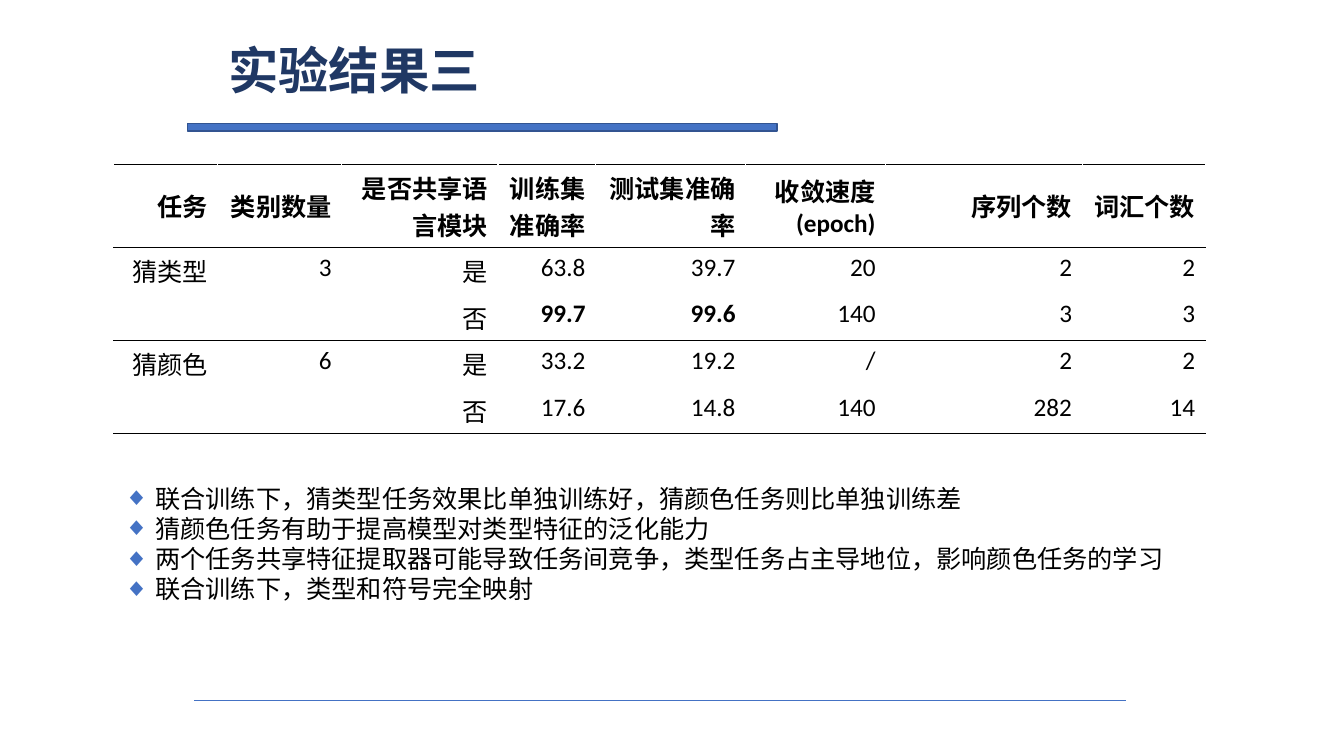
"""Build the slide with the third set of experiment results."""
from dataclasses import dataclass
from typing import Any

from lxml.etree import SubElement
from pptx import Presentation
from pptx.dml.color import RGBColor
from pptx.enum.shapes import MSO_CONNECTOR, MSO_SHAPE
from pptx.enum.text import MSO_ANCHOR, MSO_AUTO_SIZE, PP_ALIGN
from pptx.oxml.ns import qn
from pptx.util import Cm, Pt

BLUE = RGBColor(0x44, 0x72, 0xC4)
EDGE_BLUE = RGBColor(0x32, 0x54, 0x91)
NAVY = RGBColor(0x20, 0x38, 0x64)
BLACK = RGBColor(0, 0, 0)
WHITE = RGBColor(255, 255, 255)

BODY_FONT = {"name": "Calibri", "size": Pt(18), "bold": False}
TITLE_FONT = {"name": "Calibri", "size": Pt(36), "bold": True}


@dataclass(frozen=True)
class Box:
    left: float
    top: float
    width: float
    height: float

    def lengths(self) -> tuple:
        return Cm(self.left), Cm(self.top), Cm(self.width), Cm(self.height)


@dataclass(frozen=True)
class Column:
    heading: str
    width: float
    values: tuple[str, str, str, str]


TITLE_BOX = Box(5.21, 0.84, 19.86, 1.8)
RULE_BOX = Box(4.72, 3.12, 14.86, 0.18)
RESULTS_BOX = Box(2.87, 4.14, 27.5, 5.9)
FINDINGS_BOX = Box(2.87, 12.04, 27.15, 3.33)
ROW_HEIGHT = 1.04

COLUMNS = (
    Column("任务", 2.62, ("猜类型", "", "猜颜色", "")),
    Column("类别数量", 3.12, ("3", "", "6", "")),
    Column("是否共享语言模块", 3.94, ("是", "否", "是", "否")),
    Column("训练集准确率", 2.46, ("63.8", "99.7", "33.2", "17.6")),
    Column("测试集准确率", 3.78, ("39.7", "99.6", "19.2", "14.8")),
    Column("收敛速度 (epoch)", 3.53, ("20", "140", "/", "140")),
    Column("序列个数", 4.95, ("2", "3", "2", "282")),
    Column("词汇个数", 3.1, ("2", "3", "2", "14")),
)
BEST_SCORES = {"99.7", "99.6"}
TOP_RULED_ROWS = {0, 1, 3}
BOTTOM_RULED_ROWS = {0, 2, 4}

FINDINGS = (
    "联合训练下，猜类型任务效果比单独训练好，猜颜色任务则比单独训练差",
    "猜颜色任务有助于提高模型对类型特征的泛化能力",
    "两个任务共享特征提取器可能导致任务间竞争，类型任务占主导地位，影响颜色任务的学习",
    "联合训练下，类型和符号完全映射",
)


def apply_format(target: Any, values: dict[str, Any]) -> None:
    for attribute, value in values.items():
        setattr(target, attribute, value)


def style_font(font: Any, values: dict[str, Any], color: RGBColor) -> None:
    apply_format(font, values)
    font.color.rgb = color


def place(placeholder: Any, box: Box) -> None:
    left, top, width, height = box.lengths()
    apply_format(placeholder, {"left": left, "top": top, "width": width, "height": height})


def add_solid_fill(parent: Any, color: RGBColor) -> None:
    SubElement(SubElement(parent, qn("a:solidFill")), qn("a:srgbClr"), val=str(color))


def add_border(cell: Any, side: str, color: RGBColor) -> None:
    border = SubElement(cell._tc.get_or_add_tcPr(), qn(f"a:{side}"), w=str(Pt(1)))
    add_solid_fill(border, color)


def draw_title(slide: Any) -> None:
    title = slide.shapes.title
    place(title, TITLE_BOX)
    title.text = "实验结果三"
    apply_format(title.text_frame, {
        "margin_left": Cm(0.54), "vertical_anchor": MSO_ANCHOR.MIDDLE,
        "word_wrap": True, "auto_size": MSO_AUTO_SIZE.NONE,
    })
    heading = title.text_frame.paragraphs[0]
    heading.alignment = PP_ALIGN.LEFT
    style_font(heading.runs[0].font, TITLE_FONT, NAVY)


def draw_rules(slide: Any) -> None:
    title_rule = slide.shapes.add_shape(MSO_SHAPE.RECTANGLE, *RULE_BOX.lengths())
    title_rule.shadow.inherit = False
    title_rule.fill.solid()
    title_rule.fill.fore_color.rgb = BLUE
    title_rule.line.color.rgb = EDGE_BLUE
    title_rule.line.width = Pt(1)

    footer_rule = slide.shapes.add_connector(
        MSO_CONNECTOR.STRAIGHT, Cm(4.9), Cm(17.65), Cm(28.37), Cm(17.65))
    footer_rule.line.color.rgb = BLUE
    footer_rule.line.width = Pt(0.5)
    SubElement(footer_rule._element.spPr, qn("a:effectLst"))


def fill_cell(cell: Any, text: str, row: int) -> None:
    add_border(cell, "lnL", WHITE)
    add_border(cell, "lnR", WHITE)
    if row in TOP_RULED_ROWS:
        add_border(cell, "lnT", BLACK)
    if row in BOTTOM_RULED_ROWS:
        add_border(cell, "lnB", BLACK)
    cell.fill.solid()
    cell.fill.fore_color.rgb = WHITE
    cell.vertical_anchor = MSO_ANCHOR.MIDDLE if row == 0 else MSO_ANCHOR.TOP
    cell.text = text
    entry = cell.text_frame.paragraphs[0]
    entry.alignment = PP_ALIGN.RIGHT
    bold = row == 0 or text in BEST_SCORES
    for run in entry.runs:
        style_font(run.font, BODY_FONT | {"bold": bold}, BLACK)


def draw_results(slide: Any) -> None:
    frame = slide.shapes.add_table(5, len(COLUMNS), *RESULTS_BOX.lengths())
    results = frame.table
    apply_format(results, {"first_row": False, "horz_banding": False})
    for row in results.rows:
        row.height = Cm(ROW_HEIGHT)
    for index, column in enumerate(COLUMNS):
        results.columns[index].width = Cm(column.width)
        for row, text in enumerate((column.heading, *column.values)):
            fill_cell(results.cell(row, index), text, row)
    frame.height = Cm(RESULTS_BOX.height)


def draw_findings(slide: Any) -> None:
    findings = slide.placeholders[1]
    place(findings, FINDINGS_BOX)
    findings.text = "\n".join(FINDINGS)
    apply_format(findings.text_frame, {"word_wrap": True, "auto_size": MSO_AUTO_SIZE.NONE})
    for finding in findings.text_frame.paragraphs:
        properties = finding._p.get_or_add_pPr()
        apply_format(finding, {
            "alignment": PP_ALIGN.LEFT, "space_before": Pt(0), "line_spacing": Pt(21.6),
        })
        properties.set("marL", str(Cm(0.79)))
        properties.set("indent", str(Cm(-0.79)))
        bullet_color = SubElement(properties, qn("a:buClr"))
        SubElement(bullet_color, qn("a:srgbClr"), val=str(BLUE))
        SubElement(properties, qn("a:buChar"), char="◆")
        style_font(finding.runs[0].font, BODY_FONT, BLACK)


def main() -> None:
    presentation = Presentation()
    apply_format(presentation, {"slide_width": Cm(33.87), "slide_height": Cm(19.05)})
    slide = presentation.slides.add_slide(presentation.slide_layouts[1])
    draw_title(slide)
    draw_rules(slide)
    draw_results(slide)
    draw_findings(slide)
    presentation.save("out.pptx")


if __name__ == "__main__":
    main()
